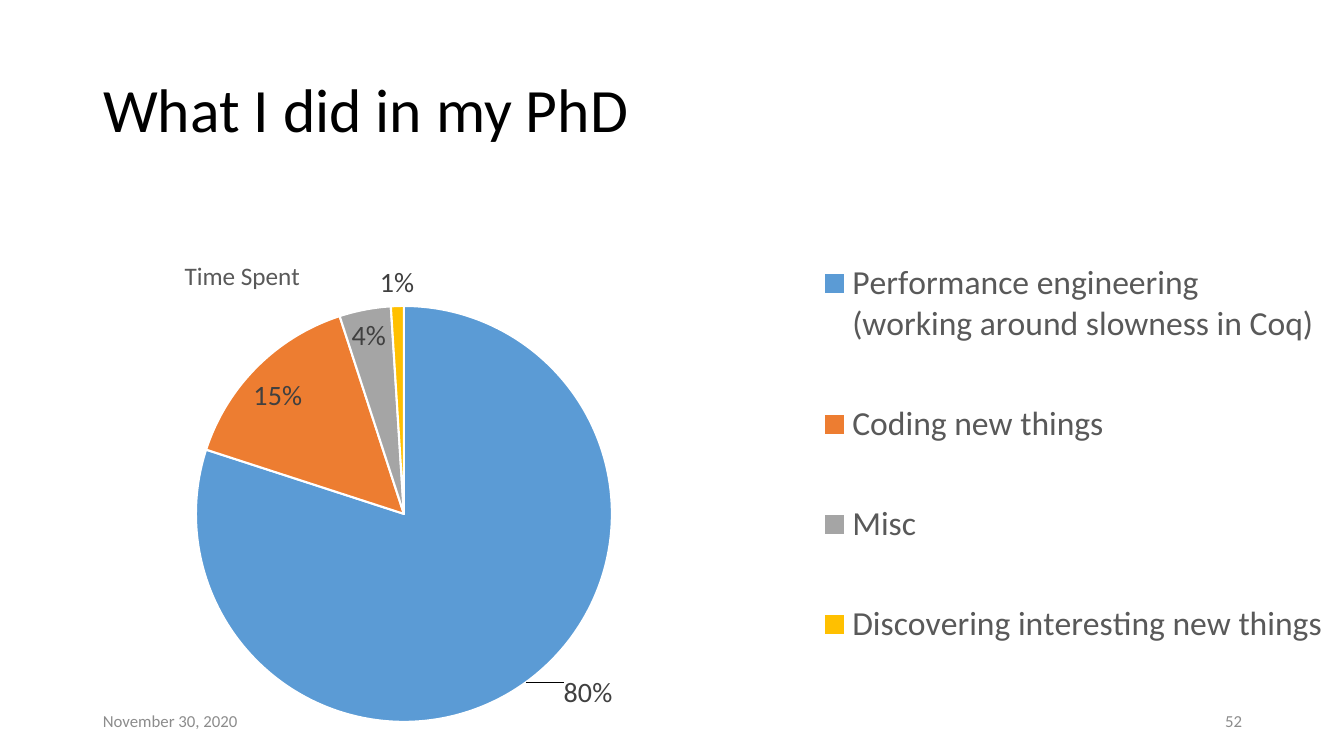
from lxml.etree import SubElement
from pptx import Presentation
from pptx.chart.data import CategoryChartData
from pptx.dml.color import RGBColor
from pptx.enum.chart import XL_CHART_TYPE, XL_LABEL_POSITION, XL_LEGEND_POSITION
from pptx.enum.text import MSO_ANCHOR, PP_ALIGN
from pptx.oxml import parse_xml
from pptx.oxml.ns import nsdecls, qn
from pptx.util import Emu, Pt

PX = 9144000 // 1008  # 100.8 px to the inch
CHART_WIDTH, CHART_HEIGHT = 1344, 570


def style(font, size, color):
    font.name = "Calibri"
    font.size = Pt(size)
    font.bold = False
    font.color.rgb = RGBColor.from_string(color)


def layout(x, y, width=None, height=None, inner=False, mode="edge"):
    """Manual chart layout from px inside the chart frame."""
    element = parse_xml(f"<c:layout {nsdecls('c')}><c:manualLayout/></c:layout>")
    entries = [("layoutTarget", "inner")] if inner else []
    if mode == "edge":
        entries += [("xMode", mode), ("yMode", mode)]
    entries += [("x", x / CHART_WIDTH), ("y", y / CHART_HEIGHT)]
    if width:
        entries += [("w", width / CHART_WIDTH), ("h", height / CHART_HEIGHT)]
    for name, value in entries:
        text = value if isinstance(value, str) else f"{value:.4f}"
        SubElement(element[0], qn(f"c:{name}")).set("val", text)
    return element


deck = Presentation()
deck.slide_width = Emu(1344 * PX)
deck.slide_height = Emu(756 * PX)
page = deck.slides.add_slide(deck.slide_layouts[5])

# Title
title = page.shapes.title
title.left, title.top, title.width, title.height = (
    Emu(length * PX) for length in (93, 40, 1159, 146))
title.text_frame.text = "What I did in my PhD"
title.text_frame.vertical_anchor = MSO_ANCHOR.MIDDLE
para = title.text_frame.paragraphs[0]
para.alignment = PP_ALIGN.LEFT
para.line_spacing = 0.9
style(para.font, 44, "000000")

# Pie chart
data = CategoryChartData()
data.categories = ["Performance engineering\n(working around slowness in Coq)",
                   "Coding new things", "Misc", "Discovering interesting new things"]
data.add_series("Series 1", (80, 15, 4, 1))
chart = page.shapes.add_chart(
    XL_CHART_TYPE.PIE, 0, Emu(186 * PX), Emu(CHART_WIDTH * PX),
    Emu(CHART_HEIGHT * PX), data).chart
style(chart.font, 10, "000000")
plot = chart.plots[0]
plot.vary_by_categories = True
series = plot.series[0]
for index, color in enumerate(("5B9BD5", "ED7D31", "A5A5A5", "FFC000")):
    slice_format = series.points[index].format
    slice_format.fill.solid()
    slice_format.fill.fore_color.rgb = RGBColor.from_string(color)
    slice_format.line.color.rgb = RGBColor.from_string("FFFFFF")
    slice_format.line.width = Pt(1.5)
plot_area = chart._chartSpace.chart.plotArea
for old_layout in plot_area.findall(qn("c:layout")):
    plot_area.remove(old_layout)
plot_area.insert(0, layout(196, 120, 416, 416, inner=True))

# Percent labels, the largest one pulled out on a leader line
labels = series.data_labels
labels.show_percentage = True
labels.show_value = False
labels.position = XL_LABEL_POSITION.BEST_FIT
style(labels.font, 20, "404040")
large_label = series.points[0].data_label
style(large_label.font, 20, "404040")
large_label.position = XL_LABEL_POSITION.OUTSIDE_END
label_xml = labels._element.find(qn("c:dLbl"))
label_xml.find(qn("c:showVal")).set("val", "0")
label_xml.find(qn("c:showPercent")).set("val", "1")
label_xml.insert(1, layout(34, -12, mode="factor"))

# Chart title
chart.has_title = True
chart_title = chart.chart_title
chart_title.text_frame.text = "Time Spent"
style(chart_title.text_frame.paragraphs[0].font, 18, "595959")
title_xml = chart_title._element
for old_layout in title_xml.findall(qn("c:layout")):
    title_xml.remove(old_layout)
title_xml.find(qn("c:tx")).addnext(layout(180, 68))

# Legend
chart.has_legend = True
legend = chart.legend
legend.position = XL_LEGEND_POSITION.RIGHT
legend.include_in_layout = False
style(legend.font, 24, "595959")
legend_xml = legend._element
for old_layout in legend_xml.findall(qn("c:layout")):
    legend_xml.remove(old_layout)
legend_xml.find(qn("c:legendPos")).addnext(layout(803, 18, 541, 500))

# Slide number and date
for left, text, alignment in ((950, "52", PP_ALIGN.RIGHT),
                              (93, "November 30, 2020", PP_ALIGN.LEFT)):
    box = page.shapes.add_textbox(*(Emu(length * PX) for length in (left, 701, 302, 40)))
    box.text_frame.word_wrap = True
    box.text_frame.vertical_anchor = MSO_ANCHOR.MIDDLE
    para = box.text_frame.paragraphs[0]
    para.text = text
    para.alignment = alignment
    style(para.font, 12, "8C8C8C")

deck.save("out.pptx")
